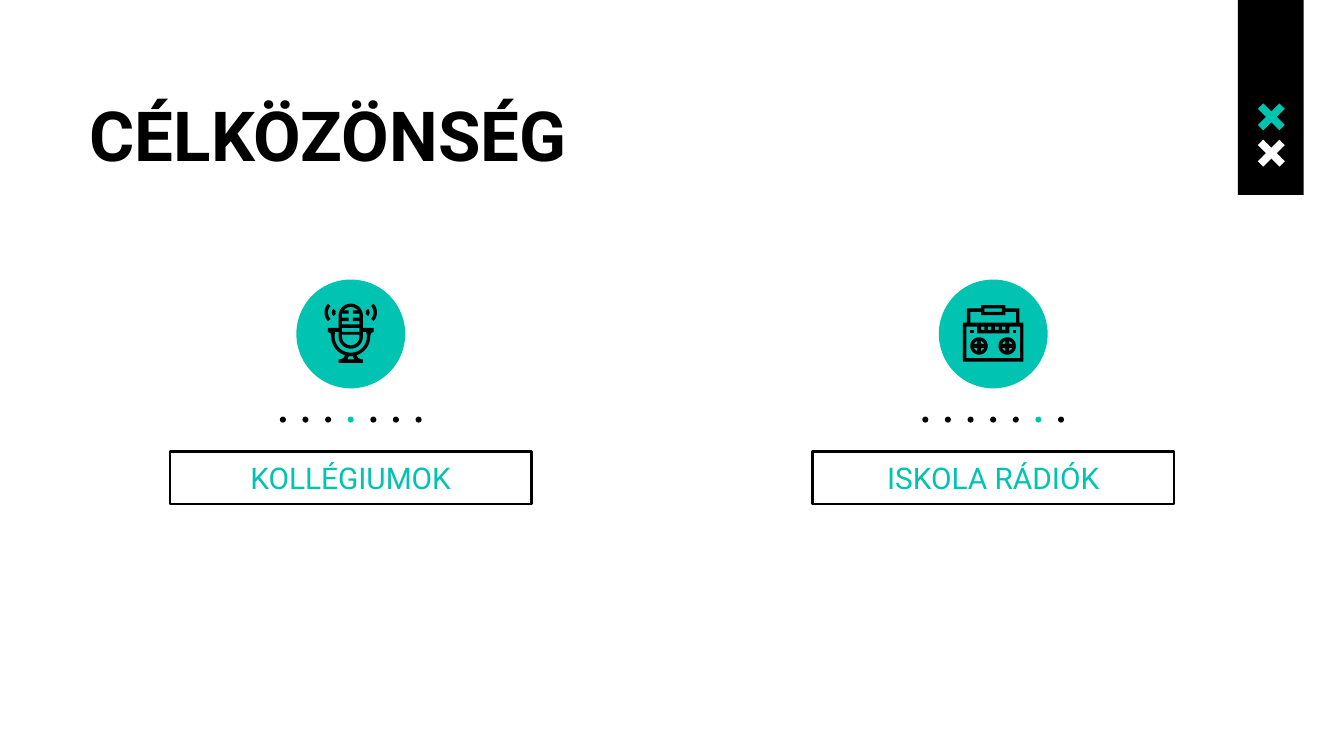
"""Build a slide on the target audience: two groups, each with icon, dots and label."""
import math

from pptx import Presentation
from pptx import util as u
from pptx.dml.color import RGBColor
from pptx.enum import shapes, text

EMU_PER_PX = 4572
WIDTH, HEIGHT = 2000, 1125
FONT = "Roboto"
TEAL, BLACK, WHITE = "00C3B1", "000000", "FFFFFF"
TITLE = "CÉLKÖZÖNSÉG"
TITLE_BOX = (114, 118, 1772, 158)
RIBBON = (1842, 0, 98, 290)
CROSS = [(8, 0), (0, 8), (12, 20), (0, 32), (8, 40), (20, 28),
         (32, 40), (40, 32), (28, 20), (40, 8), (32, 0), (20, 12)]
CROSSES = [(1872, 154, TEAL), (1872, 208, WHITE)]
CIRCLE_Y, CIRCLE_SIZE = 416, 162
DOT_Y, DOT_SIZE, DOT_COUNT, DOT_SPAN = 620, 9, 7, 202
LABEL_Y, LABEL_WIDTH, LABEL_HEIGHT = 672, 538, 78
MARGIN = 20


def px(value):
    return u.Emu(round(value * EMU_PER_PX))


def color(value):
    return RGBColor.from_string(value)


def arc(x, y, radius, start, end, steps=16):
    angles = [math.radians(start + (end - start) * i / steps) for i in range(steps + 1)]
    return [(x + radius * math.cos(a), y + radius * math.sin(a)) for a in angles]


def flip(points):
    return [(-x, y) for x, y in points]


def mirror(right_half):
    return right_half + flip(right_half[::-1])


def box(left, top, right, bottom):
    return [(left, top), (right, top), (right, bottom), (left, bottom)]


def wave(inner, outer):
    return arc(20, -32, outer, -43, 43) + arc(20, -32, inner, 43, -43)


def speaker(x, y):
    quarters = []
    for sx in (-1, 1):
        for sy in (-1, 1):
            quarter = [(3, 3)] + arc(0, 0, 8, 20, 70)
            quarters.append([(x + sx * a, y + sy * b) for a, b in quarter])
    return [arc(x, y, 13, 0, 360, 40)] + quarters


MICROPHONE = [
    [mirror(arc(0, -27, 18, -90, 0) + [(18, -9), (34, -9), (34, -3), (30, -1)]
            + arc(0, 4, 29, 0, 73) + [(11, 36), (16, 38), (18, 38), (18, 43)]),
     mirror(arc(0, -27, 13, -90, -38)
            + [(3, -35), (3, -30), (13, -30), (13, -24), (3, -24),
               (3, -19), (13, -19), (13, -14)]),
     box(-13, -9, 13, -3),
     mirror([(13, 1)] + arc(0, 4, 13, 0, 90)),
     mirror(arc(0, 4, 24, 90, 0) + [(24, 1), (23, -3), (18, -3)] + arc(0, 4, 18, 0, 90)),
     mirror([(3, 33), (5, 38)])],
    [flip(wave(3, 8))], [flip(wave(14, 19))], [wave(3, 8)], [wave(14, 19)],
]
RADIO = [
    speaker(-21, 18), speaker(21, 18),
    [box(-34, -6, -29, -1)], [box(29, -6, 34, -1)],
    [mirror([(18, -43), (18, -38), (39, -38), (39, -17), (45, -17), (45, 41)]),
     box(-13, -38, 13, -33),
     mirror([(18, -28), (18, -33), (34, -33), (34, -17)]),
     mirror([(24, -1), (24, -11), (40, -11), (40, 36)])]
    + [box(x, -11, x + 5, -6) for x in (-18, -8, 3, 13)],
]
GROUPS = [
    {"center": 522, "label": "KOLLÉGIUMOK", "teal_dot": 3, "icon": MICROPHONE},
    {"center": 1478, "label": "ISKOLA RÁDIÓK", "teal_dot": 5, "icon": RADIO},
]


def paint(shape, fill):
    shape.shadow.inherit = False
    shape.fill.solid()
    shape.fill.fore_color.rgb = color(fill)
    shape.line.fill.background()


def add_preset(slide, kind, place, fill):
    shape = slide.shapes.add_shape(kind, *map(px, place))
    paint(shape, fill)
    return shape


def add_outline(slide, contours, x, y, fill):
    first = contours[0][0]
    builder = slide.shapes.build_freeform(px(first[0]), px(first[1]))
    for number, contour in enumerate(contours):
        points = [(px(a), px(b)) for a, b in contour]
        if number:
            builder.move_to(*points[0])
        builder.add_line_segments(points[1:], close=True)
    paint(builder.convert_to_shape(px(x), px(y)), fill)


def write(shape, words, size, fill, align, anchor, bold=False):
    frame = shape.text_frame
    frame.word_wrap = True
    frame.vertical_anchor = anchor
    frame.margin_left = frame.margin_right = px(MARGIN)
    frame.margin_top = frame.margin_bottom = px(MARGIN)
    paragraph = frame.paragraphs[0]
    paragraph.text = words
    paragraph.alignment = align
    font = paragraph.font
    font.name, font.size, font.bold = FONT, u.Pt(size), bold
    font.color.rgb = color(fill)


def add_group(slide, center, label, teal_dot, icon):
    oval, rectangle = shapes.MSO_SHAPE.OVAL, shapes.MSO_SHAPE.RECTANGLE
    add_preset(slide, oval,
               (center - CIRCLE_SIZE / 2, CIRCLE_Y, CIRCLE_SIZE, CIRCLE_SIZE), TEAL)
    for contours in icon:
        add_outline(slide, contours, center, CIRCLE_Y + CIRCLE_SIZE / 2, BLACK)
    for i in range(DOT_COUNT):
        x = center + DOT_SPAN * (i / (DOT_COUNT - 1) - 0.5) - DOT_SIZE / 2
        add_preset(slide, oval, (x, DOT_Y, DOT_SIZE, DOT_SIZE),
                   TEAL if i == teal_dot else BLACK)
    frame = add_preset(slide, rectangle,
                       (center - LABEL_WIDTH / 2, LABEL_Y, LABEL_WIDTH, LABEL_HEIGHT), WHITE)
    frame.fill.background()
    frame.line.color.rgb = color(BLACK)
    frame.line.width = u.Pt(1.5)
    write(frame, label, 16, TEAL, text.PP_ALIGN.CENTER, text.MSO_ANCHOR.MIDDLE)


def main():
    presentation = Presentation()
    presentation.slide_width, presentation.slide_height = px(WIDTH), px(HEIGHT)
    slide = presentation.slides.add_slide(presentation.slide_layouts[6])
    add_preset(slide, shapes.MSO_SHAPE.RECTANGLE, RIBBON, BLACK)
    for x, y, fill in CROSSES:
        add_outline(slide, [CROSS], x, y, fill)
    title = slide.shapes.add_textbox(*map(px, TITLE_BOX))
    write(title, TITLE, 37, BLACK, text.PP_ALIGN.LEFT, text.MSO_ANCHOR.TOP, bold=True)
    for group in GROUPS:
        add_group(slide, **group)
    presentation.save("out.pptx")


if __name__ == "__main__":
    main()
